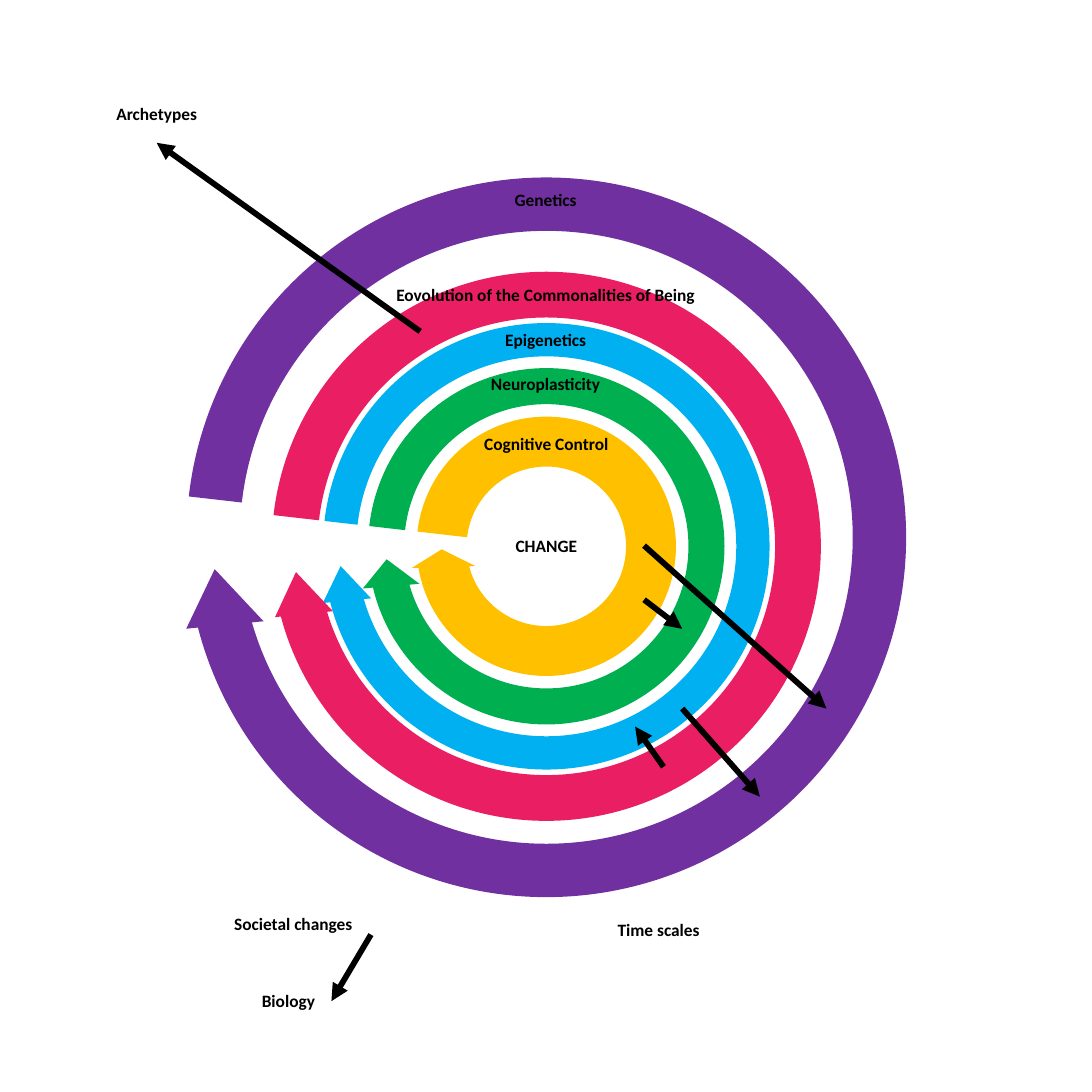
from dataclasses import dataclass

from pptx import Presentation
from pptx.dml.color import RGBColor
from pptx.enum.shapes import MSO_CONNECTOR, MSO_SHAPE
from pptx.enum.text import MSO_ANCHOR, PP_ALIGN
from pptx.oxml import parse_xml
from pptx.oxml.ns import nsdecls
from pptx.slide import Slide
from pptx.util import Inches, Pt

BLACK = RGBColor(0x00, 0x00, 0x00)
WHITE = RGBColor(0xFF, 0xFF, 0xFF)
AMBER = RGBColor(0xFF, 0xC0, 0x00)
GREEN = RGBColor(0x00, 0xB0, 0x50)
BLUE = RGBColor(0x00, 0xB0, 0xF0)
PINK = RGBColor(0xE9, 0x1E, 0x63)
PURPLE = RGBColor(0x70, 0x30, 0xA0)

SIDE = 15.75
CENTER = 7.88
HEAD_ANGLE = 9.77
START_ANGLE = 186.52
ANGLE_UNIT = 0.6  # adjustment value of one degree


@dataclass
class Ring:
    """A circular arrow; lengths in inches, angle in degrees."""
    size: float
    band: float
    head: float
    end_angle: float
    color: RGBColor
    center_y: float = CENTER


@dataclass
class Label:
    """A bold caption in a box, given in inches."""
    text: str
    left: float
    top: float
    width: float = 3.94
    height: float = 1.25


@dataclass
class Arrow:
    """A straight arrow between two points in inches."""
    start: tuple[float, float]
    end: tuple[float, float]


RINGS = [
    Ring(3.94, 0.72, 0.46, 168.58, AMBER),
    Ring(5.44, 0.52, 0.41, 165.59, GREEN),
    Ring(6.66, 0.48, 0.35, 164.74, BLUE),
    Ring(8.1, 0.66, 0.42, 164.35, PINK),
    Ring(10.73, 0.77, 0.56, 164.74, PURPLE, center_y=7.75),
]
LABELS = [
    Label("CHANGE", 5.91, 6.89, height=1.97),
    Label("Cognitive Control", 5.91, 5.77),
    Label("Neuroplasticity", 5.9, 4.9),
    Label("Epigenetics", 5.9, 4.27),
    Label("Eovolution of the Commonalities of Being", 5.59, 3.63, width=4.56),
    Label("Genetics", 5.9, 2.26),
    Label("Archetypes", 0.29, 0.66, height=1.97),
    Label("Time scales", 7.53, 12.42, height=1.97),
    Label("Societal changes", 2.26, 12.34, height=1.97),
    Label("Biology", 2.19, 13.45, height=1.97),
]
ARROWS = [
    Arrow((6.06, 4.78), (2.26, 2.06)),
    Arrow((5.35, 13.48), (4.78, 14.44)),
    Arrow((9.29, 7.87), (11.92, 10.22)),
    Arrow((9.29, 8.65), (9.84, 9.07)),
    Arrow((9.84, 10.22), (10.96, 11.49)),
    Arrow((9.57, 11.06), (9.16, 10.48)),
]


def draw_ring(slide: Slide, ring: Ring) -> None:
    """Draw one circular arrow around the centre."""
    band = slide.shapes.add_shape(
        MSO_SHAPE.CIRCULAR_ARROW,
        Inches(CENTER - ring.size / 2), Inches(ring.center_y - ring.size / 2),
        Inches(ring.size), Inches(ring.size))
    settings = (
        ring.band / ring.size,
        HEAD_ANGLE * ANGLE_UNIT,
        ring.end_angle * ANGLE_UNIT,
        START_ANGLE * ANGLE_UNIT,
        ring.head / ring.size,
    )
    for index, value in enumerate(settings):
        band.adjustments[index] = value
    band.shadow.inherit = False
    band.fill.solid()
    band.fill.fore_color.rgb = ring.color
    band.line.fill.background()


def draw_label(slide: Slide, label: Label) -> None:
    """Write one centred caption."""
    caption = slide.shapes.add_textbox(
        Inches(label.left), Inches(label.top),
        Inches(label.width), Inches(label.height)).text_frame
    caption.word_wrap = True
    caption.vertical_anchor = MSO_ANCHOR.MIDDLE
    caption.margin_left = caption.margin_right = Inches(0)
    paragraph = caption.paragraphs[0]
    paragraph.alignment = PP_ALIGN.CENTER
    run = paragraph.add_run()
    run.text = label.text
    run.font.name = "Calibri"
    run.font.size = Pt(18)
    run.font.bold = True
    run.font.color.rgb = BLACK


def draw_arrow(slide: Slide, arrow: Arrow) -> None:
    """Draw one thick line with a triangle at its end."""
    shaft = slide.shapes.add_connector(
        MSO_CONNECTOR.STRAIGHT,
        *(Inches(value) for value in arrow.start + arrow.end))
    shaft.line.color.rgb = BLACK
    shaft.line.width = Pt(6)
    shaft.line._get_or_add_ln().append(
        parse_xml(f'<a:tailEnd {nsdecls("a")} type="triangle"/>'))
    shaft._element.spPr.append(parse_xml(f'<a:effectLst {nsdecls("a")}/>'))


def main() -> None:
    """Build and save the slide."""
    deck = Presentation()
    deck.slide_width = deck.slide_height = Inches(SIDE)
    slide = deck.slides.add_slide(deck.slide_layouts[6])
    slide.background.fill.solid()
    slide.background.fill.fore_color.rgb = WHITE
    for ring in RINGS:
        draw_ring(slide, ring)
    for label in LABELS:
        draw_label(slide, label)
    for arrow in ARROWS:
        draw_arrow(slide, arrow)
    deck.save("out.pptx")


main()
